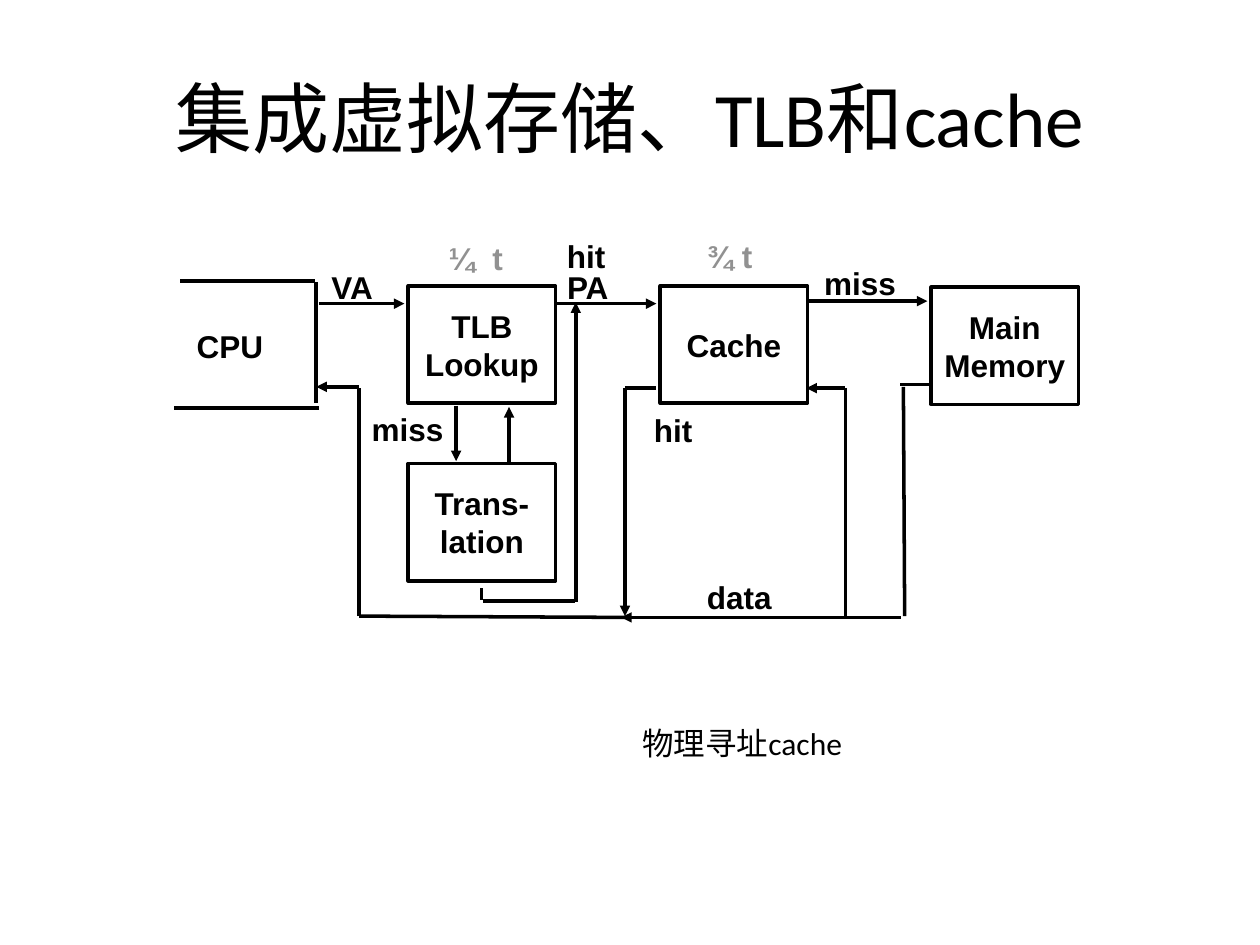
from lxml import etree
from pptx import Presentation
from pptx import util as u
from pptx.dml.color import RGBColor
from pptx.enum import shapes, text
from pptx.oxml.ns import qn

BLACK = RGBColor(0x00, 0x00, 0x00)
GRAY = RGBColor(0x91, 0x91, 0x91)

prs = Presentation()
prs.slide_width, prs.slide_height = u.Inches(10), u.Inches(7.5)
COL = prs.slide_width / 100
ROW = prs.slide_height / 75
s = prs.slides.add_slide(prs.slide_layouts[5])


def grid(x, y):
    return round(x * COL), round(y * ROW)


def style(p, name, size, color, bold=False):
    p.font.name = name
    p.font.size = u.Pt(size)
    p.font.bold = bold
    p.font.color.rgb = color


title = s.shapes.title
title.left, title.top = grid(5, 3)
title.width, title.height = grid(90, 12.5)
tf = title.text_frame
tf.text = "集成虚拟存储、TLB和cache"
tf.vertical_anchor = text.MSO_ANCHOR.MIDDLE
p = tf.paragraphs[0]
p.alignment = text.PP_ALIGN.CENTER
style(p, "Calibri", 44, BLACK)

boxes = [
    ("TLB\nLookup", 32.4, 22.7),
    ("Cache", 52.4, 22.7),
    ("Main\nMemory", 73.9, 22.8),
    ("Trans-\nlation", 32.4, 36.8),
]
for words, x, y in boxes:
    sp = s.shapes.add_shape(shapes.MSO_SHAPE.RECTANGLE, *grid(x, y), *grid(11.7, 9.3))
    sp.shadow.inherit = False
    sp.fill.background()
    sp.line.color.rgb = BLACK
    sp.line.width = u.Pt(2)
    tf = sp.text_frame
    tf.text = words
    tf.word_wrap = False
    tf.vertical_anchor = text.MSO_ANCHOR.MIDDLE
    for p in tf.paragraphs:
        p.alignment = text.PP_ALIGN.CENTER
        style(p, "Arial", 18, BLACK, True)

cpu_outline = [
    (14.3, 22.3, 25, 22.3),
    (25.1, 22.4, 25.1, 32),
    (25.3, 32.4, 13.8, 32.4),
]
data_paths = [
    (73.9, 30.5, 71.4, 30.5),
    (71.7, 30.7, 71.8, 48.9),
    (49.6, 49, 28.5, 48.9),
    (28.5, 48.9, 28.5, 30.8),
    (67.1, 30.8, 67.1, 48.9),
    (49.6, 30.8, 52.1, 30.8),
]
translation_path = [
    (38.2, 46.7, 38.2, 47.6),
    (38.3, 47.7, 45.6, 47.7),
]
arrows = [
    (25.3, 24.1, 32.1, 24.1),
    (44, 24.1, 52.1, 24.1),
    (64.2, 23.9, 73.6, 23.9),
    (28.5, 30.7, 25.1, 30.7),
    (67.1, 30.8, 64, 30.8),
    (49.6, 30.8, 49.6, 48.9),
    (36.2, 32.2, 36.2, 36.6),
    (40.4, 36.7, 40.4, 32.3),
    (45.7, 47.8, 45.7, 24),
    (71.5, 49, 49.3, 49),
]
plain = cpu_outline + data_paths + translation_path
for i, (x1, y1, x2, y2) in enumerate(plain + arrows):
    line = s.shapes.add_connector(
        shapes.MSO_CONNECTOR.STRAIGHT, *grid(x1, y1), *grid(x2, y2)
    )
    line.line.color.rgb = BLACK
    line.line.width = u.Pt(2)
    if i >= len(plain):
        etree.SubElement(line.line._get_or_add_ln(), qn("a:tailEnd"), type="triangle")
    etree.SubElement(line._element.spPr, qn("a:effectLst"))

labels = [
    ("CPU", 14.9, 26.1, 6.7, BLACK),
    ("VA", 25.6, 21.4, 4.9, BLACK),
    ("hit", 44.3, 19, 4.4, BLACK),
    ("PA", 44.3, 21.4, 4.9, BLACK),
    ("miss", 64.7, 21.1, 7.1, BLACK),
    ("miss", 28.8, 32.7, 7.1, BLACK),
    ("hit", 51.2, 32.8, 4.4, BLACK),
    ("data", 55.4, 46, 6.5, BLACK),
    ("¼  t", 34.9, 19.1, 5.7, GRAY),
    ("¾ t", 55.4, 19, 5, GRAY),
]
for words, x, y, width, color in labels:
    tf = s.shapes.add_textbox(*grid(x, y), *grid(width, 2.9)).text_frame
    tf.text = words
    tf.word_wrap = True
    tf.auto_size = text.MSO_AUTO_SIZE.NONE
    tf.margin_left, tf.margin_right = round(0.7 * COL), 0
    tf.margin_top = tf.margin_bottom = round(0.3 * ROW)
    p = tf.paragraphs[0]
    p.line_spacing = 0.85
    style(p, "Arial", 18, color, True)

tf = s.shapes.add_textbox(*grid(50, 57), *grid(26.6, 4)).text_frame
tf.text = "物理寻址cache"
tf.word_wrap = True
tf.auto_size = text.MSO_AUTO_SIZE.SHAPE_TO_FIT_TEXT
style(tf.paragraphs[0], "Calibri", 18, BLACK)

prs.save("out.pptx")
